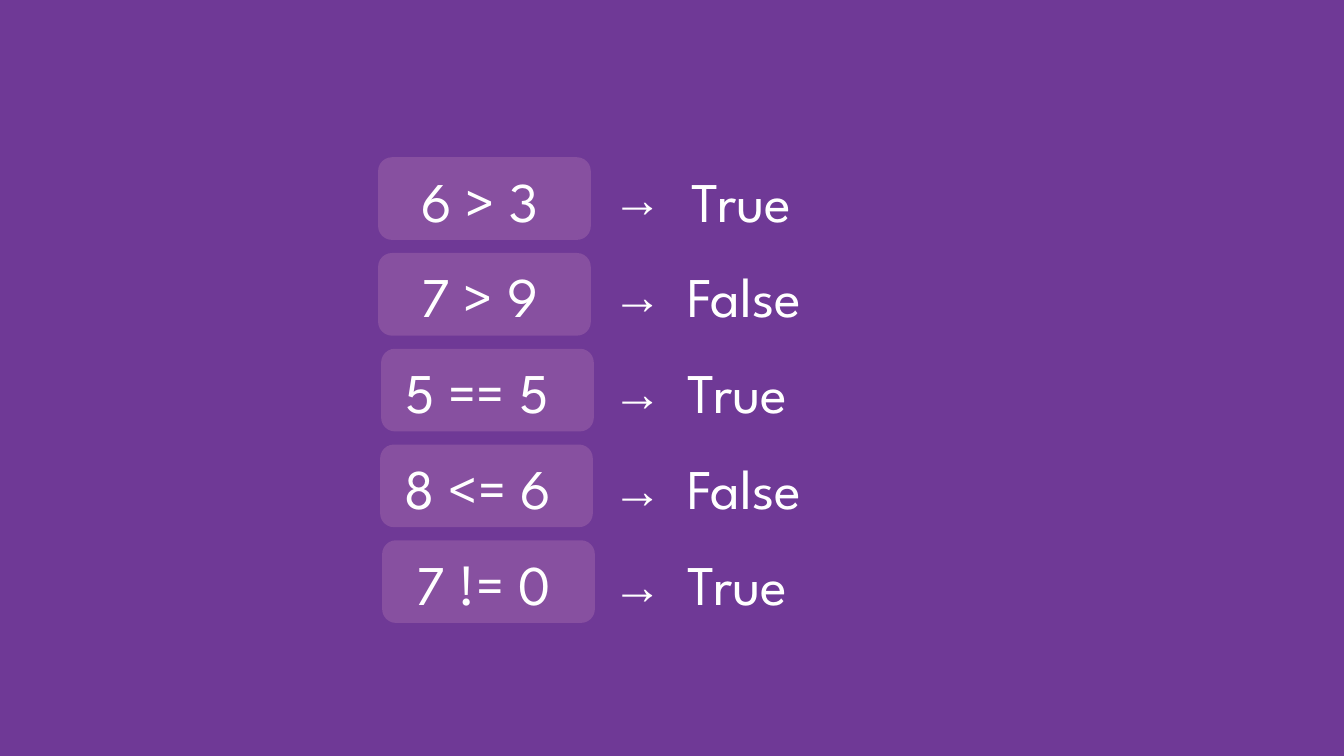
from pptx import Presentation
from pptx.dml.color import RGBColor
from pptx.enum.shapes import MSO_SHAPE as Shape
from pptx.enum.text import MSO_ANCHOR as Anchor, MSO_AUTO_SIZE as AutoSize, PP_ALIGN as Align
from pptx.util import Inches, Pt

COLORS = {"background": "6F3996", "card": "8750A0", "text": "FFFFFF"}

deck = Presentation()
deck.slide_width, deck.slide_height = Inches(13.33), Inches(7.5)
page = deck.slides.add_slide(deck.slide_layouts[6])
page.background.fill.solid()
page.background.fill.fore_color.rgb = RGBColor.from_string(COLORS["background"])


def add_text(text, left, top, width, height, font="League Spartan", size=40):
    box = page.shapes.add_textbox(Inches(left), Inches(top), Inches(width), Inches(height))
    box.text_frame.word_wrap = True
    box.text_frame.text = text
    span = box.text_frame.paragraphs[0].runs[0]
    span.font.name = font
    span.font.size = Pt(size)
    span.font.color.rgb = RGBColor.from_string(COLORS["text"])
    return box.text_frame


# Comparison, card left, text left, text width, result, result left, result width
comparisons = [
    ("6 > 3", 3.75, 4.08, 1.5, "True", 6.76, 1.36),
    ("7 > 9", 3.75, 4.08, 1.5, "False", 6.72, 1.54),
    ("5 == 5", 3.78, 3.92, 1.84, "True", 6.72, 1.36),
    ("8 <= 6", 3.77, 3.91, 1.84, "False", 6.72, 1.54),
    ("7 != 0", 3.79, 4.03, 1.63, "True", 6.72, 1.36),
]

for row, (comparison, card_left, text_left, text_width,
          result, result_left, result_width) in enumerate(comparisons):
    card_top = 1.56 + 0.95 * row
    text_top = card_top + 0.04

    # Card behind the comparison
    card = page.shapes.add_shape(Shape.ROUNDED_RECTANGLE, Inches(card_left),
                                 Inches(card_top), Inches(2.11), Inches(0.82))
    card.shadow.inherit = False
    card.fill.solid()
    card.fill.fore_color.rgb = RGBColor.from_string(COLORS["card"])
    card.line.fill.background()

    # Comparison and its result
    for text, left, width in ((comparison, text_left, text_width),
                              (result, result_left, result_width)):
        frame = add_text(text, left, text_top, width, 0.77)
        frame.auto_size = AutoSize.SHAPE_TO_FIT_TEXT

    # Arrow between them
    frame = add_text("→", 5.95, 1.4 + 0.96 * row, 0.72, 0.82, "Arial", 36)
    frame.vertical_anchor = Anchor.MIDDLE
    frame.paragraphs[0].alignment = Align.RIGHT
    frame.paragraphs[0].line_spacing = 1.5

deck.save("out.pptx")
